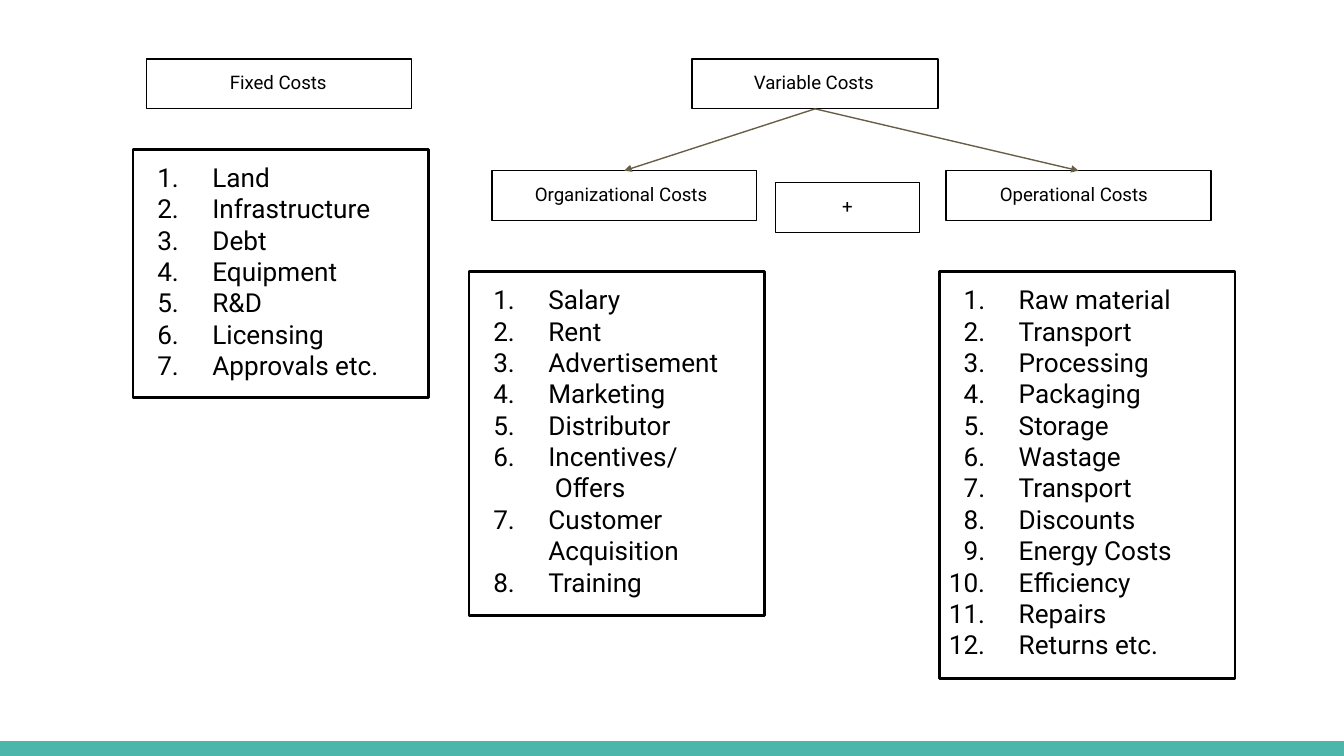
import pptx
import pptx.dml.color
import pptx.enum.shapes
import pptx.enum.text
import pptx.oxml.ns
import pptx.util
from lxml import etree
from pptx.util import Inches, Pt

FONT = "Roboto"
BLACK = "000000"
ARROW_COLOR = "685D46"
BAND_COLOR = "4DB6AB"
RECTANGLE = pptx.enum.shapes.MSO_SHAPE.RECTANGLE
ALIGN = pptx.enum.text.PP_ALIGN
BOTTOM, TOP = 2, 0

SLIDE_WIDTH = 10
SLIDE_HEIGHT = SLIDE_WIDTH * 9 / 16
BAND_HEIGHT = 0.11
LABEL_HEIGHT = 0.37
LIST_WIDTH = 2.2
TEXT_INDENT = 0.59
NUMBER_HANG = 0.41
WIDE_NUMBER_HANG = 0.52

FIXED_COSTS = ["Land", "Infrastructure", "Debt", "Equipment", "R&D",
               "Licensing", "Approvals etc."]
# A vertical tab is a line break inside a numbered item.
ORGANIZATIONAL_COSTS = ["Salary", "Rent", "Advertisement", "Marketing",
                        "Distributor", "Incentives/\v Oﬀers",
                        "Customer\vAcquisition", "Training"]
OPERATIONAL_COSTS = ["Raw material", "Transport", "Processing", "Packaging",
                     "Storage", "Wastage", "Transport", "Discounts",
                     "Energy Costs", "Eﬃciency", "Repairs", "Returns etc."]


def rgb(color):
    return pptx.dml.color.RGBColor.from_string(color)


def add_child(parent, tag, **attributes):
    child = etree.SubElement(parent, pptx.oxml.ns.qn(tag))
    for name, value in attributes.items():
        child.set(name, value)
    return child


def add_box(slide, left, top, width, height, line_width=None, fill=None):
    shape = slide.shapes.add_shape(RECTANGLE, Inches(left), Inches(top),
                                   Inches(width), Inches(height))
    shape.shadow.inherit = False
    if fill:
        shape.fill.solid()
        shape.fill.fore_color.rgb = rgb(fill)
    else:
        shape.fill.background()
    if line_width:
        shape.line.color.rgb = rgb(BLACK)
        shape.line.width = Pt(line_width)
    else:
        shape.line.fill.background()
    return shape


def indent_paragraph(paragraph, indent, hang=0):
    properties = paragraph._p.get_or_add_pPr()
    properties.set("marL", str(Inches(indent)))
    properties.set("indent", str(-Inches(hang)))
    return properties


def number_paragraph(paragraph, hang):
    properties = indent_paragraph(paragraph, TEXT_INDENT, hang)
    bullet_color = add_child(properties, "a:buClr")
    add_child(bullet_color, "a:srgbClr", val=BLACK)
    add_child(properties, "a:buFont", typeface=FONT)
    add_child(properties, "a:buAutoNum", type="arabicPeriod")


def write_text(shape, lines, size, align=ALIGN.LEFT, indent=0, numbered=False):
    frame = shape.text_frame
    frame.word_wrap = True
    frame.vertical_anchor = pptx.enum.text.MSO_ANCHOR.TOP
    frame.margin_left = frame.margin_right = frame.margin_bottom = 0
    frame.margin_top = Inches(0.09)
    for number, line in enumerate(lines, start=1):
        paragraph = frame.paragraphs[0] if number == 1 else frame.add_paragraph()
        paragraph.text = line
        paragraph.alignment = align
        if numbered:
            number_paragraph(paragraph, NUMBER_HANG if number < 10 else WIDE_NUMBER_HANG)
        elif indent:
            indent_paragraph(paragraph, indent)
        for run in paragraph.runs:
            run.font.name = FONT
            run.font.size = Pt(size)
            run.font.color.rgb = rgb(BLACK)


def add_label(slide, text, left, top, width, **text_format):
    shape = add_box(slide, left, top, width, LABEL_HEIGHT, line_width=0.75)
    write_text(shape, [text], size=10, **text_format)
    return shape


def add_cost_list(slide, items, left, top, height):
    shape = add_box(slide, left, top, LIST_WIDTH, height, line_width=1.5)
    write_text(shape, items, size=14, numbered=True)


def add_arrow(slide, parent, child):
    arrow = slide.shapes.add_connector(
        pptx.enum.shapes.MSO_CONNECTOR.STRAIGHT, 0, 0, 0, 0)
    arrow.begin_connect(parent, BOTTOM)
    arrow.end_connect(child, TOP)
    arrow.line.color.rgb = rgb(ARROW_COLOR)
    arrow.line.width = Pt(0.75)
    add_child(arrow.line._get_or_add_ln(), "a:tailEnd",
              type="triangle", w="sm", len="sm")
    add_child(arrow._element.spPr, "a:effectLst")


def add_fixed_costs(slide, left, top):
    add_label(slide, "Fixed Costs", left + 0.1, top, 1.97, indent=0.62)
    add_cost_list(slide, FIXED_COSTS, left, top + 0.67, 1.85)


def add_variable_costs(slide, left, top):
    variable = add_label(slide, "Variable Costs", left + 1.66, top, 1.83,
                         indent=0.46)
    organizational = add_label(slide, "Organizational Costs",
                               left + 0.17, top + 0.83, 1.97, indent=0.32)
    operational = add_label(slide, "Operational Costs",
                            left + 3.55, top + 0.83, 1.97, indent=0.4)
    add_label(slide, "+", left + 2.28, top + 0.92, 1.07, align=ALIGN.CENTER)
    for child in (organizational, operational):
        add_arrow(slide, variable, child)
    add_cost_list(slide, ORGANIZATIONAL_COSTS, left, top + 1.58, 2.56)
    add_cost_list(slide, OPERATIONAL_COSTS, left + 3.5, top + 1.58, 3.03)


def main():
    presentation = pptx.Presentation()
    presentation.slide_width = Inches(SLIDE_WIDTH)
    presentation.slide_height = Inches(SLIDE_HEIGHT)
    slide = presentation.slides.add_slide(presentation.slide_layouts[6])
    add_box(slide, 0, SLIDE_HEIGHT - BAND_HEIGHT, SLIDE_WIDTH, BAND_HEIGHT,
            fill=BAND_COLOR)
    add_fixed_costs(slide, left=0.99, top=0.44)
    add_variable_costs(slide, left=3.49, top=0.44)
    presentation.save("out.pptx")


if __name__ == "__main__":
    main()
